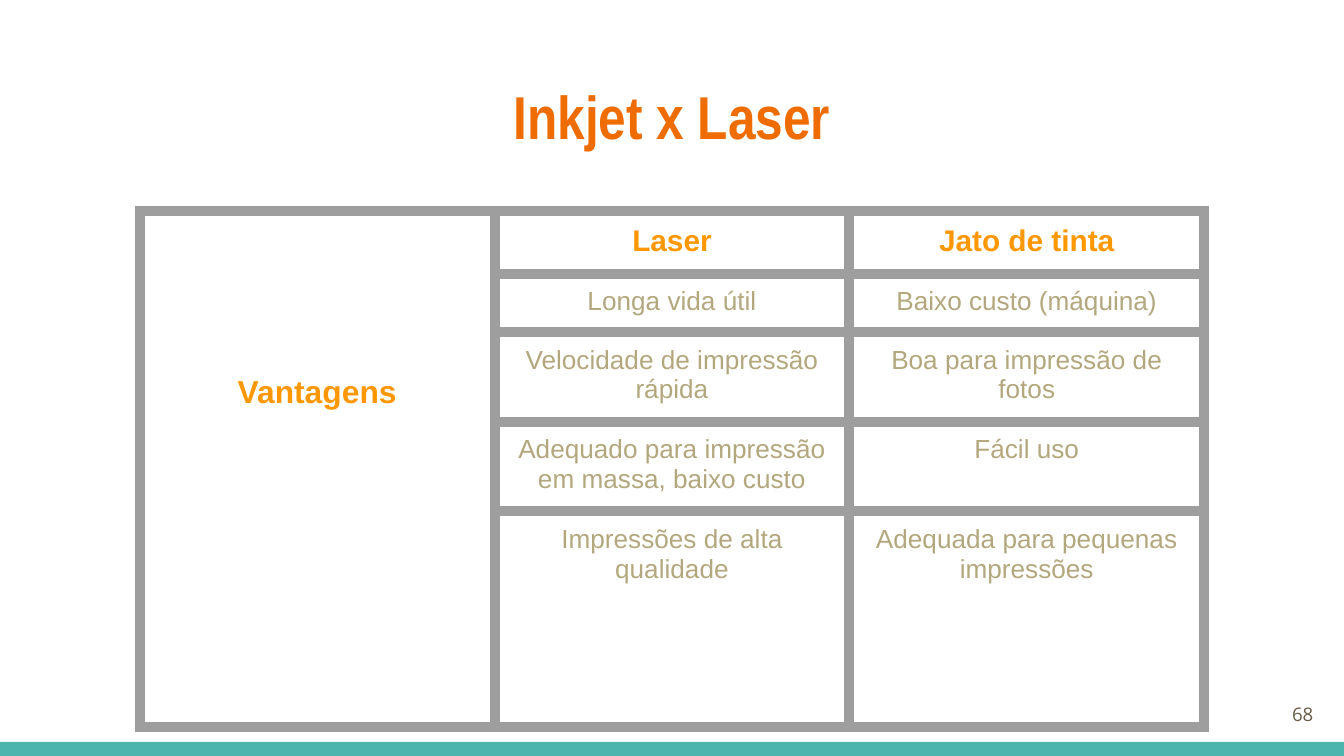
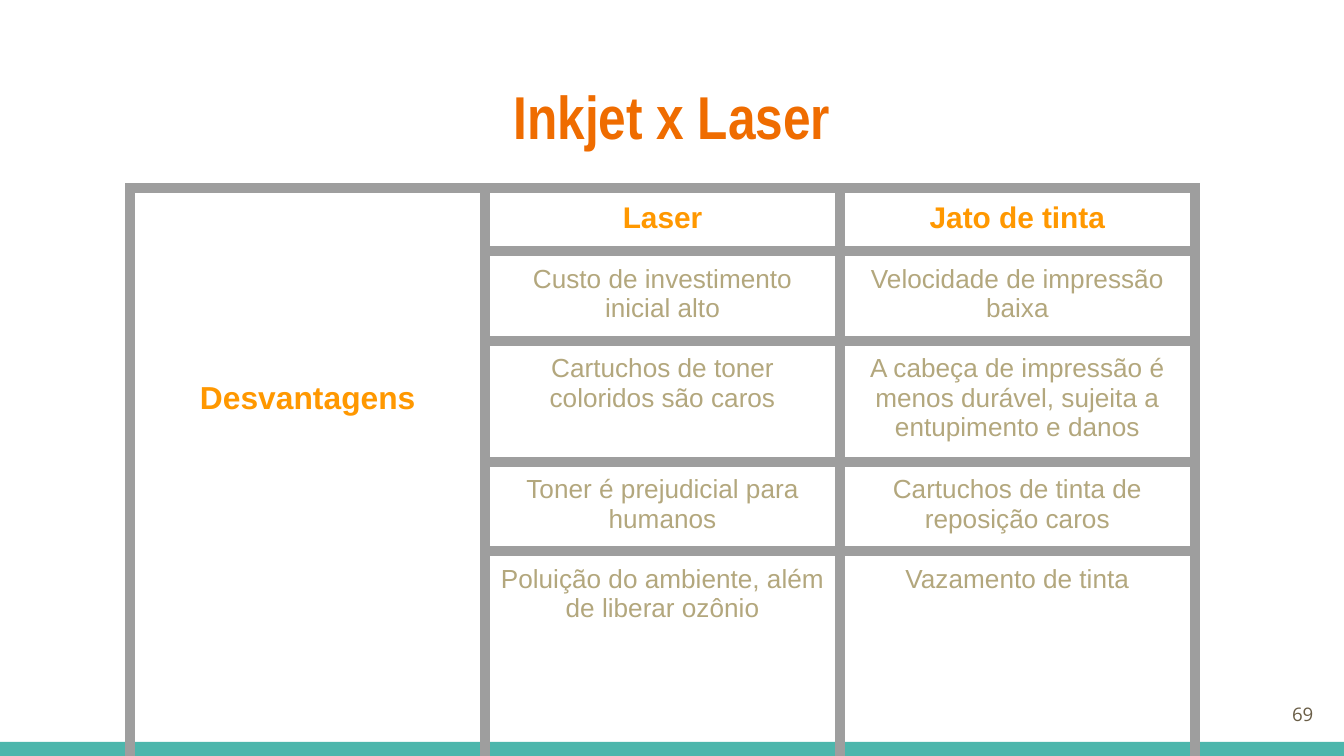
from dataclasses import dataclass

from lxml.etree import SubElement
from pptx import Presentation
from pptx.dml.color import RGBColor as Rgb
from pptx.enum.shapes import MSO_SHAPE as Shape
from pptx.enum.text import MSO_ANCHOR as Anchor, MSO_AUTO_SIZE as Fit, PP_ALIGN as Align
from pptx.oxml.ns import qn
from pptx.util import Inches, Pt


@dataclass(frozen=True)
class Theme:
    """Colours and measures of the deck."""
    band: str = "4DB6AC"
    page: str = "FFFFFF"
    rule: str = "9E9E9E"
    rule_w: float = 6
    pad: float = 0.1
    row_h: float = 0.42
    col_w: float = 2.64
    frame: float = 3.28


THEME = Theme()
STYLES = {
    "title": {"name": "Arial Narrow", "size": Pt(32.4), "bold": True, "color": "EF6C00"},
    "num": {"name": "Open Sans", "size": Pt(10), "bold": False, "color": "695D46"},
    "side": {"name": "Arial", "size": Pt(17), "bold": True, "color": "FF9800"},
    "head": {"name": "Arial", "size": Pt(16), "bold": True, "color": "FF9800"},
    "body": {"name": "Arial", "size": Pt(14), "bold": False, "color": "B3A77D"},
}
TITLE_BOX = (0.34, 0.49, 9.32, 0.77)
NUM_BOX = (9.27, 5.1, 0.6, 0.43)
BAND_BOX = (0, 5.52, 10, 0.11)
HEADS = ("Laser", "Jato de tinta")
SLIDES = (
    {
        "num": 68, "side": "Vantagens", "at": (1.04, 1.57), "drop": 1.22,
        "rows": (
            ("Longa vida útil", "Baixo custo (máquina)"),
            ("Velocidade de impressão rápida", "Boa para impressão de fotos"),
            ("Adequado para impressão em massa, baixo custo", "Fácil uso"),
            ("Impressões de alta qualidade", "Adequada para pequenas impressões"),
        ),
    },
    {
        "num": 69, "side": "Desvantagens", "at": (0.97, 1.4), "drop": 1.43,
        "rows": (
            ("Custo de investimento inicial alto", "Velocidade de impressão baixa"),
            ("Cartuchos de toner coloridos são caros",
             "A cabeça de impressão é menos durável, sujeita a entupimento e danos"),
            ("Toner é prejudicial para humanos", "Cartuchos de tinta de reposição caros"),
            ("Poluição do ambiente, além de liberar ozônio", "Vazamento de tinta"),
        ),
    },
)


def apply(obj, values):
    """Set each named value on an object."""
    for key, value in values.items():
        setattr(obj, key, value)


def inset(obj):
    """Give a frame or cell the common margins."""
    apply(obj, {f"margin_{side}": Inches(THEME.pad)
                for side in ("left", "top", "right", "bottom")})


def write(frame, text, style, align=Align.CENTER):
    """Put one styled paragraph in a text frame."""
    para = frame.paragraphs[0]
    para.alignment = align
    run = para.add_run()
    run.text = text
    look = dict(STYLES[style])
    run.font.color.rgb = Rgb.from_string(look.pop("color"))
    apply(run.font, look)


def edge(cell):
    """Draw the four borders of a cell."""
    props = cell._tc.get_or_add_tcPr()
    for spot, tag in enumerate(("a:lnL", "a:lnR", "a:lnT", "a:lnB")):
        line = props.makeelement(qn(tag), {"w": str(Pt(THEME.rule_w))})
        fill = SubElement(line, qn("a:solidFill"))
        SubElement(fill, qn("a:srgbClr"), val=THEME.rule)
        props.insert(spot, line)


def add_title(slide, text, box):
    """Place and format the title placeholder."""
    title = slide.shapes.title
    apply(title, dict(zip(("left", "top", "width", "height"), map(Inches, box))))
    frame = title.text_frame
    inset(frame)
    apply(frame, {"word_wrap": True, "auto_size": Fit.NONE, "vertical_anchor": Anchor.TOP})
    write(frame, text, "title")


def add_num(slide, num, box):
    """Place the page number."""
    frame = slide.shapes.add_textbox(*map(Inches, box)).text_frame
    inset(frame)
    apply(frame, {"word_wrap": True, "vertical_anchor": Anchor.MIDDLE})
    write(frame, str(num), "num", Align.RIGHT)


def add_band(slide, box):
    """Draw the foot band."""
    band = slide.shapes.add_shape(Shape.RECTANGLE, *map(Inches, box))
    band.shadow.inherit = False
    band.fill.solid()
    band.fill.fore_color.rgb = Rgb.from_string(THEME.band)
    band.line.fill.background()


def add_grid(slide, data):
    """Build the comparison table with a merged side label."""
    texts = (HEADS, *data["rows"])
    size = (THEME.frame, THEME.frame)
    holder = slide.shapes.add_table(len(texts), len(HEADS) + 1,
                                    *map(Inches, (*data["at"], *size)))
    table = holder.table
    apply(table, {"first_row": False, "horz_banding": False})
    for col in table.columns:
        col.width = Inches(THEME.col_w)
    for row in table.rows:
        row.height = Inches(THEME.row_h)
    apply(holder, dict(zip(("width", "height"), map(Inches, size))))
    for cell in table.iter_cells():
        inset(cell)
        cell.fill.background()
        edge(cell)
    side = table.cell(0, 0)
    side.merge(table.cell(len(texts) - 1, 0))
    side.margin_top = Inches(data["drop"])
    write(side.text_frame, data["side"], "side")
    for r, pair in enumerate(texts):
        for c, text in enumerate(pair, 1):
            write(table.cell(r, c).text_frame, text, "body" if r else "head")


def add_page(deck, data):
    """Build one comparison slide."""
    slide = deck.slides.add_slide(deck.slide_layouts[5])
    slide.background.fill.solid()
    slide.background.fill.fore_color.rgb = Rgb.from_string(THEME.page)
    add_band(slide, BAND_BOX)
    add_title(slide, "Inkjet x Laser", TITLE_BOX)
    add_num(slide, data["num"], NUM_BOX)
    add_grid(slide, data)


def main():
    """Build and save the deck."""
    deck = Presentation()
    wide = Inches(10)
    apply(deck, {"slide_width": wide, "slide_height": wide * 9 // 16})
    for data in SLIDES:
        add_page(deck, data)
    deck.save("out.pptx")


if __name__ == "__main__":
    main()
